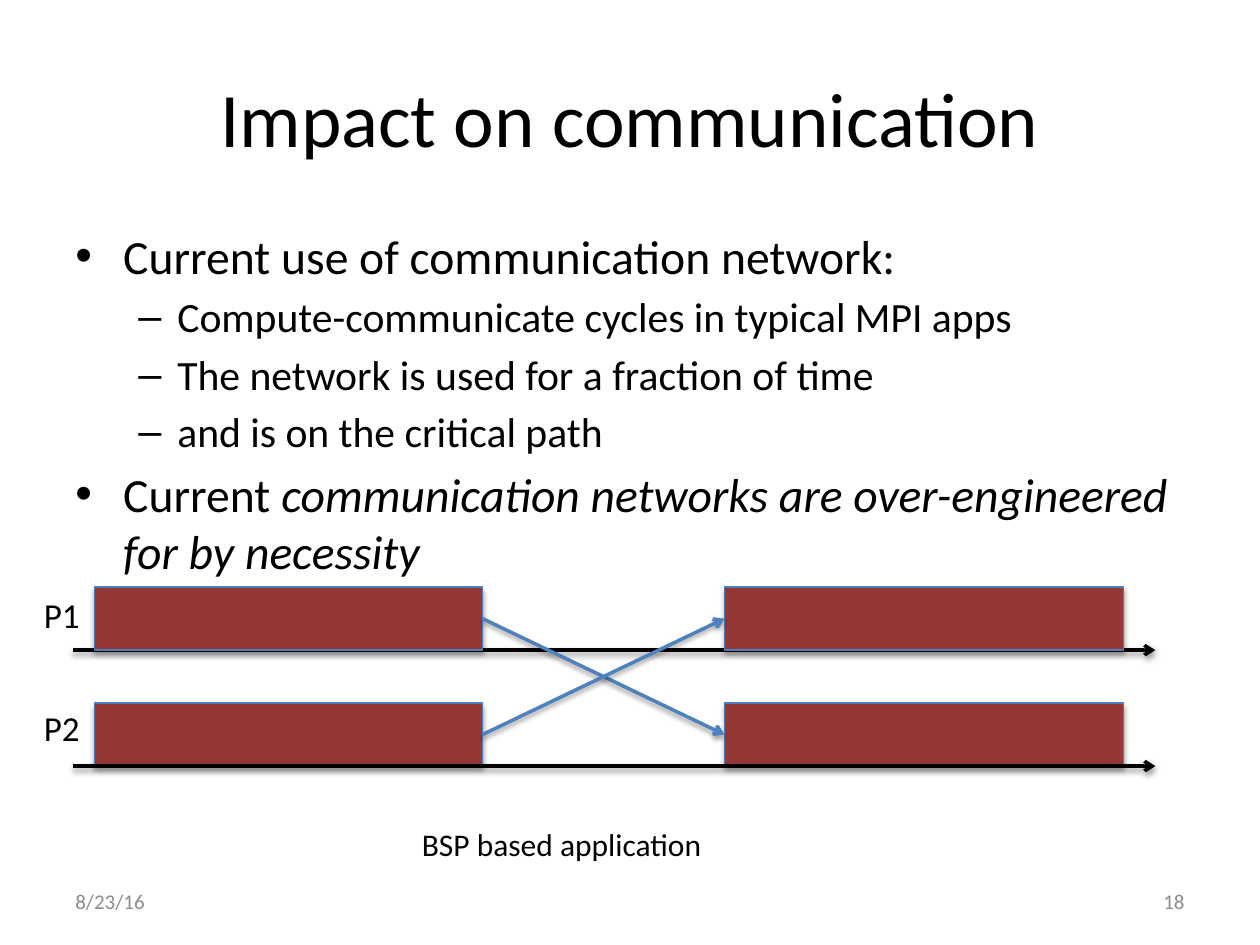
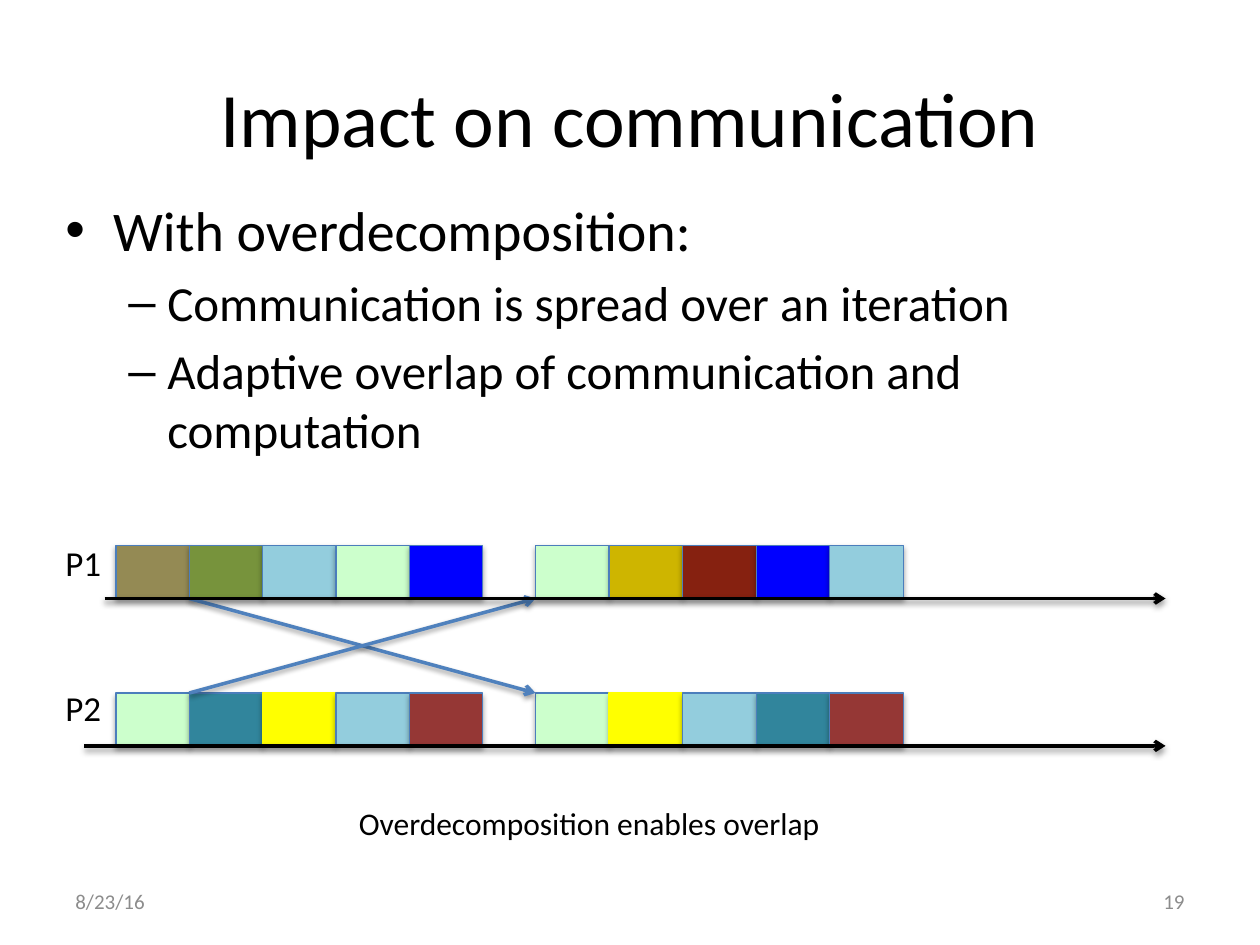
import pptx
import pptx.dml.color
import pptx.enum.shapes
import pptx.enum.text
import pptx.oxml
import pptx.oxml.ns
import pptx.util
from lxml import etree

Inches = pptx.util.Inches
Pt = pptx.util.Pt
ALIGN = pptx.enum.text.PP_ALIGN
ANCHOR = pptx.enum.text.MSO_ANCHOR
SHAPE = pptx.enum.shapes.MSO_SHAPE
LINE = pptx.enum.shapes.MSO_CONNECTOR

BLACK, GREY, EDGE, BLUE = "000000", "8C8C8C", "4B7EBC", "4F81BD"
RED, MINT, SKY, TEAL = "953735", "CCFFCC", "93CDDD", "31859C"
YELLOW, PURE = "FFFF00", "0000FF"

TITLE = "Impact on communication"
DATE = "8/23/16"
FONT = "Calibri"

# Bullet, left margin and hanging indent of each level
LEVELS = [("•", 0.38, -0.38), ("–", 0.81, -0.31)]

# Opacity in percent and distance in points
BAR_SHADE, LINE_SHADE = (35, 1.8), (38, 1.6)

# Body lines are (level, [(text, italic), ...]).
# Each row holds its bar top, bar colours per block, axis start and label top.
# "under" counts the axes that lie behind the bars.
SLIDES = [
    {
        "number": "18",
        "body": [
            (0, [("Current use of communication network:", False)]),
            (1, [("Compute-communicate cycles in typical MPI apps", False)]),
            (1, [("The network is used for a fraction of time", False)]),
            (1, [("and is on the critical path", False)]),
            (0, [("Current ", False),
                 ("communication networks are over-engineered for by necessity", True)]),
        ],
        "place": (0.5, 1.75, 9.17, 2.67),
        "sizes": (27.2, 23.8),
        "lead": 0.18,
        "blocks": [(0.75, 3.83), (5.75, 8.92)],
        "high": 0.5,
        "rows": [
            ("P1", 4.66, [[RED], [RED]], 0.58, 4.66),
            ("P2", 5.58, [[RED], [RED]], 0.58, 5.56),
        ],
        "end": 9.17,
        "under": 1,
        "joined": True,
        "left": 0.25,
        "note": ("BSP based application", (3.25, 6.5, 3.67, 0.5)),
    },
    {
        "number": "19",
        "body": [
            (0, [("With overdecomposition:", False)]),
            (1, [("Communication is spread over an iteration", False)]),
            (1, [("Adaptive overlap of communication and computation", False)]),
        ],
        "place": (0.42, 1.5, 9.25, 2.33),
        "sizes": (32, 28),
        "lead": 0.2,
        "blocks": [(0.92, 3.83), (4.25, 7.17)],
        "high": 0.42,
        "rows": [
            ("P1", 4.33, [["948A54", "77933C", SKY, MINT, PURE],
                          [MINT, "CEB500", "862110", PURE, SKY]], 0.83, 4.25),
            ("P2", 5.5, [[MINT, TEAL, YELLOW, SKY, RED],
                         [MINT, YELLOW, SKY, TEAL, RED]], 0.67, 5.4),
        ],
        "end": 9.25,
        "under": 0,
        "joined": False,
        "left": 0.42,
        "note": ("Overdecomposition enables overlap", (2.75, 6.33, 5, 0.5)),
    },
]


def color(code):
    return pptx.dml.color.RGBColor.from_string(code)


def apply(target, values):
    for name, value in values.items():
        setattr(target, name, value)


def shade(shape, kind):
    """Give a shape a soft shadow that falls straight down."""
    alpha, drop = kind
    space = pptx.oxml.ns.nsdecls("a")
    shape._element.spPr.append(pptx.oxml.parse_xml(
        f'<a:effectLst {space}><a:outerShdw blurRad="{Pt(3.1)}" dist="{Pt(drop)}" '
        f'dir="5400000" rotWithShape="0"><a:srgbClr val="{BLACK}">'
        f'<a:alpha val="{alpha * 1000}"/></a:srgbClr></a:outerShdw></a:effectLst>'))


def frame(slide, place, anchor=ANCHOR.TOP):
    box = slide.shapes.add_textbox(*map(Inches, place)).text_frame
    apply(box, {"word_wrap": True, "vertical_anchor": anchor})
    return box


def write(para, text, size, code=BLACK, italic=False):
    run = para.add_run()
    run.text = text
    apply(run.font, {"name": FONT, "size": Pt(size), "italic": italic})
    run.font.color.rgb = color(code)


def label(slide, text, place, size, code=BLACK, align=ALIGN.LEFT, anchor=ANCHOR.TOP):
    para = frame(slide, place, anchor).paragraphs[0]
    para.alignment = align
    write(para, text, size, code)


def bullet(para, level):
    mark, margin, indent = LEVELS[level]
    props = para._p.get_or_add_pPr()
    props.set("marL", str(Inches(margin)))
    props.set("indent", str(Inches(indent)))
    tag = pptx.oxml.ns.qn
    etree.SubElement(props, tag("a:buFont")).set("typeface", "Arial")
    etree.SubElement(props, tag("a:buChar")).set("char", mark)


def body(slide, data):
    box = frame(slide, data["place"])
    for index, (level, runs) in enumerate(data["body"]):
        para = box.add_paragraph() if index else box.paragraphs[0]
        size = data["sizes"][level]
        bullet(para, level)
        apply(para, {"level": level, "space_before": Pt(size * data["lead"] if index else 0)})
        for text, italic in runs:
            write(para, text, size, italic=italic)


def bar(slide, place, fill):
    shape = slide.shapes.add_shape(SHAPE.RECTANGLE, *map(Inches, place))
    shape.fill.solid()
    shape.fill.fore_color.rgb = color(fill)
    shape.line.color.rgb = color(YELLOW if fill == YELLOW else EDGE)
    shape.line.width = Pt(0.75)
    shade(shape, BAR_SHADE)
    return shape


def arrow(slide, start, end, code):
    line = slide.shapes.add_connector(LINE.STRAIGHT, *map(Inches, start + end))
    line.line.color.rgb = color(code)
    line.line.width = Pt(2)
    tail = etree.SubElement(line.line._get_or_add_ln(), pptx.oxml.ns.qn("a:tailEnd"))
    tail.set("type", "arrow")
    shade(line, LINE_SHADE)
    return line


def strip(slide, data, row):
    """Draw the bars of one row and return them block by block."""
    _, top, groups, _, _ = row
    drawn = []
    for (left, right), fills in zip(data["blocks"], groups):
        wide = (right - left) / len(fills)
        drawn.append([bar(slide, (left + i * wide, top, wide, data["high"]), fill)
                      for i, fill in enumerate(fills)])
    return drawn


def cross(slide, data, bars):
    """Send an arrow from the first bar of each row to the other row."""
    (left, right), (goal, _) = data["blocks"]
    start = left + (right - left) / len(bars[0][0])
    tops = [row[1] for row in data["rows"]]
    drop = data["high"] / 2 if data["joined"] else data["high"]
    levels = (tops[0] + drop, tops[1] + (drop if data["joined"] else 0))
    for here, there in ((0, 1), (1, 0)):
        line = arrow(slide, (start, levels[here]), (goal, levels[there]), BLUE)
        if data["joined"]:
            line.begin_connect(bars[here][0][0], 3)
            line.end_connect(bars[there][1][0], 1)


def axes(slide, data, rows):
    for _, top, _, start, _ in rows:
        level = top + data["high"]
        arrow(slide, (start, level), (data["end"], level), BLACK)


def chart(slide, data):
    rows, under = data["rows"], data["under"]
    axes(slide, data, rows[:under])
    bars = [strip(slide, data, row) for row in rows]
    cross(slide, data, bars)
    axes(slide, data, rows[under:])
    for name, _, _, _, top in rows:
        label(slide, name, (data["left"], top, 0.58, 0.44), 20)
    text, place = data["note"]
    label(slide, text, place, 18)


def base(slide, number):
    """Add the title, date and number that all slides share."""
    middle = ANCHOR.MIDDLE
    label(slide, TITLE, (0.5, 0.3, 9, 1.25), 44, align=ALIGN.CENTER, anchor=middle)
    label(slide, DATE, (0.5, 6.95, 2.33, 0.4), 12, GREY, anchor=middle)
    label(slide, number, (7.17, 6.95, 2.33, 0.4), 12, GREY, ALIGN.RIGHT, middle)


def main():
    deck = pptx.Presentation()
    apply(deck, {"slide_width": Inches(10), "slide_height": Inches(7.5)})
    for data in SLIDES:
        slide = deck.slides.add_slide(deck.slide_layouts[6])
        base(slide, data["number"])
        body(slide, data)
        chart(slide, data)
    deck.save("out.pptx")


if __name__ == "__main__":
    main()
